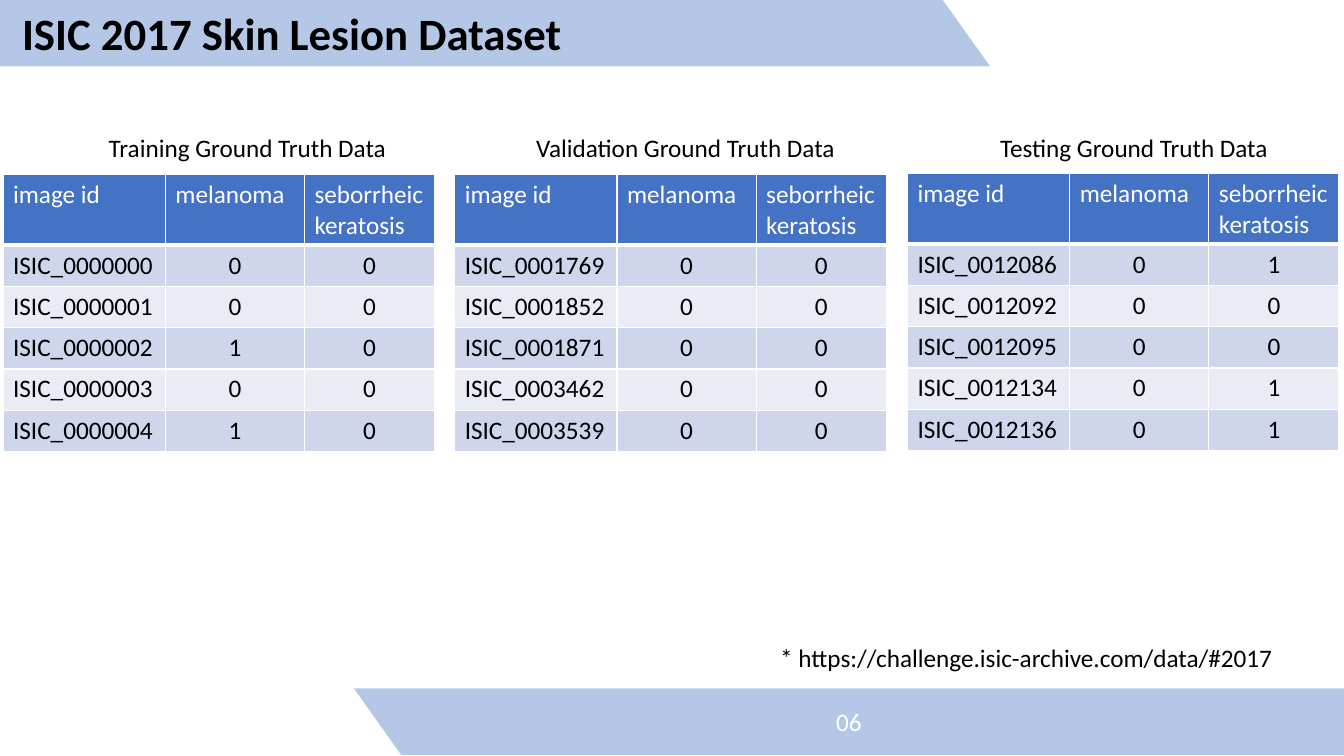
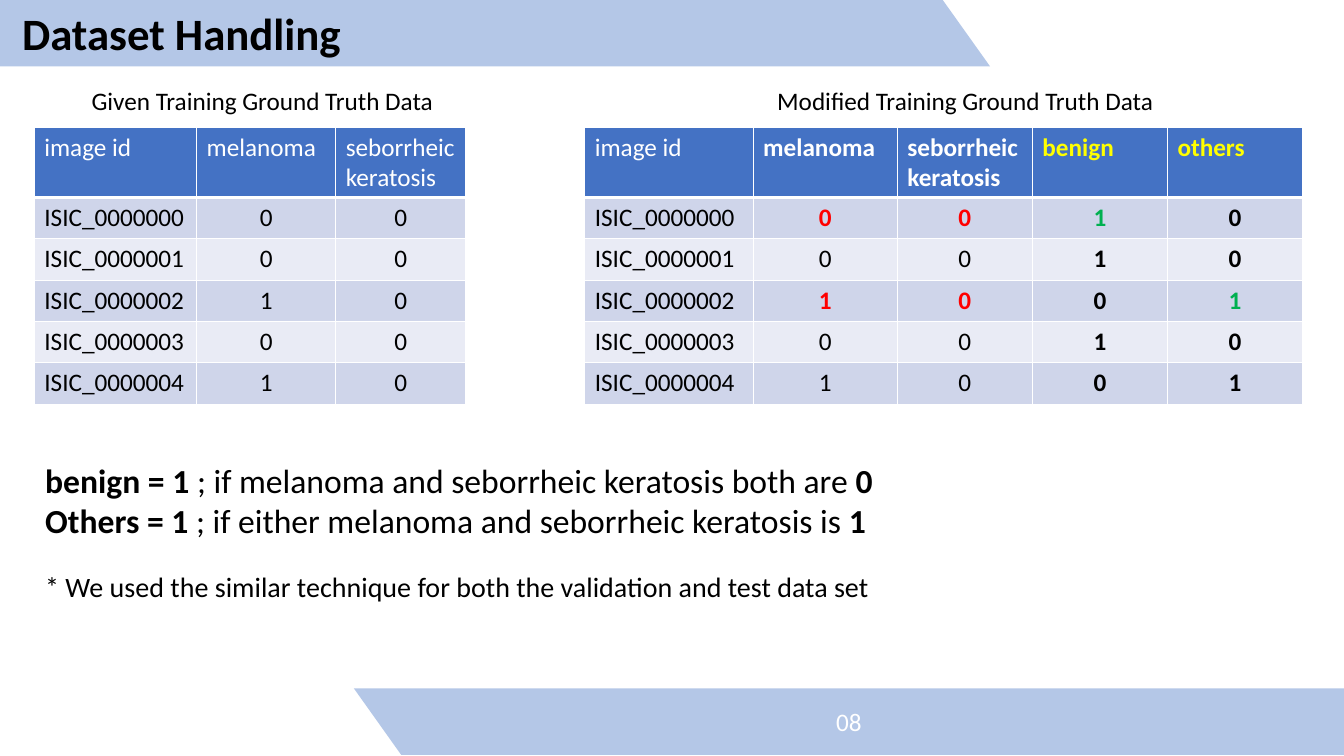
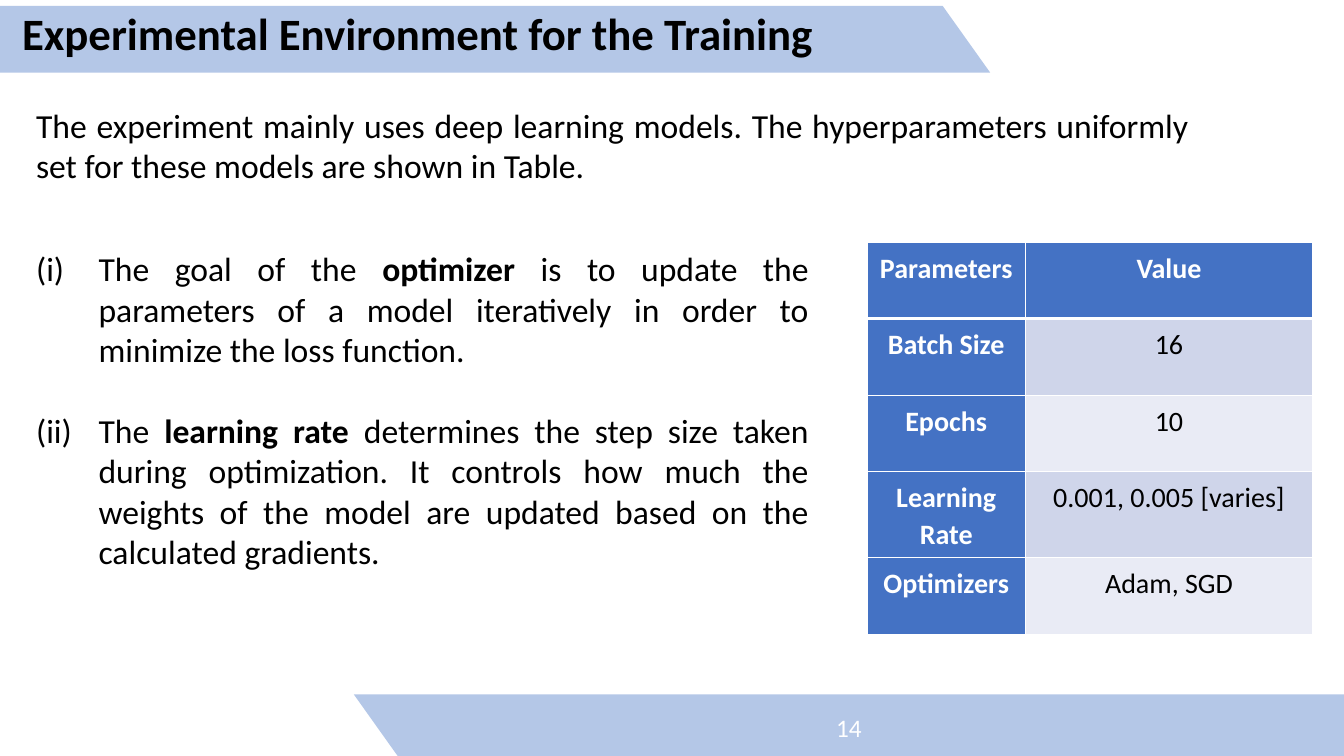
from dataclasses import dataclass
from typing import NamedTuple, Sequence

from lxml.etree import SubElement
from pptx import Presentation
from pptx.dml.color import RGBColor
from pptx.enum.text import MSO_ANCHOR, MSO_AUTO_SIZE, PP_ALIGN
from pptx.oxml.ns import qn
from pptx.util import Emu, Pt

EMU_PER_PX = 9144
PAGE_WIDTH, PAGE_HEIGHT = 1333, 750
BAND_BOTTOM = 749
BAND_OUTLINE = ((0, 0), (935, 0), (982, 66), (0, 66))


@dataclass(frozen=True)
class Theme:
    font: str = "Calibri"
    band: str = "B4C7E7"
    header: str = "4472C4"
    odd_row: str = "CFD5EA"
    even_row: str = "E9EBF5"
    white: str = "FFFFFF"
    ink: str = "000000"
    new_label: str = "FFFF00"
    source_value: str = "FF0000"
    derived_value: str = "00B050"
    title_size: int = 32
    body_size: int = 24
    note_size: int = 20
    label_size: int = 18
    thin_line: int = 1
    thick_line: int = 3


THEME = Theme()


class Box(NamedTuple):
    left: int
    top: int
    width: int
    height: int


class Span(NamedTuple):
    text: str
    bold: bool = False


@dataclass(frozen=True)
class Para:
    spans: tuple[Span, ...]
    align: PP_ALIGN = PP_ALIGN.LEFT
    numbered: bool = False
    space_before: int = 0


@dataclass(frozen=True)
class Cell:
    text: str
    color: str = THEME.ink
    bold: bool = False
    align: PP_ALIGN = PP_ALIGN.CENTER


@dataclass(frozen=True)
class TableLook:
    header_height: int
    row_height: int
    size: int
    header_column: bool = False
    margin: int | None = None
    line_spacing: float | None = None


class LabelSet(NamedTuple):
    caption: str
    caption_box: Box
    left: int
    top: int
    rows: Sequence[tuple[str, int, int]]


LABEL_LOOK = TableLook(68, 41, THEME.label_size)
PARAMETER_LOOK = TableLook(76, 76, THEME.note_size, True, 7, 1.07)
LABEL_WIDTHS = (161, 138, 129)
MODIFIED_WIDTHS = (167, 143, 134, 134, 134)
LABEL_NAMES = ("image id", "melanoma", "seborrheic keratosis")

TRAINING_ROWS = (
    ("ISIC_0000000", 0, 0),
    ("ISIC_0000001", 0, 0),
    ("ISIC_0000002", 1, 0),
    ("ISIC_0000003", 0, 0),
    ("ISIC_0000004", 1, 0),
)
VALIDATION_ROWS = (
    ("ISIC_0001769", 0, 0),
    ("ISIC_0001852", 0, 0),
    ("ISIC_0001871", 0, 0),
    ("ISIC_0003462", 0, 0),
    ("ISIC_0003539", 0, 0),
)
TESTING_ROWS = (
    ("ISIC_0012086", 0, 1),
    ("ISIC_0012092", 0, 0),
    ("ISIC_0012095", 0, 0),
    ("ISIC_0012134", 0, 1),
    ("ISIC_0012136", 0, 1),
)
HIGHLIGHTED_ROWS = (0, 2)

DATASET_SPLITS = (
    LabelSet("Training Ground Truth Data", Box(98, 126, 299, 40), 3, 173, TRAINING_ROWS),
    LabelSet("Validation Ground Truth Data", Box(522, 126, 320, 40), 451, 173, VALIDATION_ROWS),
    LabelSet("Testing Ground Truth Data", Box(982, 126, 289, 40), 900, 172, TESTING_ROWS),
)
GIVEN_TRAINING = LabelSet(
    "Given Training Ground Truth Data", Box(81, 80, 363, 40), 34, 126, TRAINING_ROWS
)
PARAMETERS = (
    ("Batch Size", "16"),
    ("Epochs", "10"),
    ("Learning Rate", "0.001, 0.005 [varies]"),
    ("Optimizers", "Adam, SGD"),
)


def px(length: int) -> Emu:
    return Emu(length * EMU_PER_PX)


def place(box: Box) -> tuple[Emu, ...]:
    return tuple(px(length) for length in box)


def style_font(font, size: int, color: str, bold: bool | None = None) -> None:
    font.name = THEME.font
    font.size = Pt(size)
    font.color.rgb = RGBColor.from_string(color)
    if bold is not None:
        font.bold = bold


def number_paragraph(paragraph) -> None:
    properties = paragraph._p.get_or_add_pPr()
    properties.set("marL", str(px(62)))
    properties.set("indent", str(px(-62)))
    SubElement(properties, qn("a:buFont"), typeface="+mj-lt")
    SubElement(properties, qn("a:buAutoNum"), type="romanLcParenBoth")


def add_text(page, box: Box, paras: Sequence[Para], size: int,
             wrap: bool = True, anchor: MSO_ANCHOR = MSO_ANCHOR.TOP) -> None:
    frame = page.shapes.add_textbox(*place(box)).text_frame
    frame.word_wrap = wrap
    frame.auto_size = MSO_AUTO_SIZE.SHAPE_TO_FIT_TEXT
    frame.vertical_anchor = anchor
    for index, para in enumerate(paras):
        paragraph = frame.add_paragraph() if index else frame.paragraphs[0]
        if para.numbered:
            number_paragraph(paragraph)
        paragraph.alignment = para.align
        if para.space_before:
            paragraph.space_before = Pt(para.space_before)
        same_weight = len({span.bold for span in para.spans}) == 1
        style_font(paragraph.font, size, THEME.ink,
                   para.spans[0].bold if same_weight else None)
        for span in para.spans:
            run = paragraph.add_run()
            run.text = span.text
            if not same_weight:
                run.font.bold = span.bold


def add_line(page, box: Box, text: str, size: int,
             bold: bool = False, wrap: bool = False) -> None:
    add_text(page, box, [Para((Span(text, bold),))], size, wrap)


def add_band(page, points: Sequence[tuple[int, int]]):
    builder = page.shapes.build_freeform(*points[0], scale=EMU_PER_PX)
    builder.add_line_segments(points[1:], close=True)
    band = builder.convert_to_shape()
    band.shadow.inherit = False
    band.fill.solid()
    band.fill.fore_color.rgb = RGBColor.from_string(THEME.band)
    band.line.fill.background()
    return band


def add_page(deck, title: str, number: str, band_shift: int = 0):
    page = deck.slides.add_slide(deck.slide_layouts[6])
    add_band(page, [(x, y + band_shift) for x, y in BAND_OUTLINE])
    footer = add_band(
        page, [(PAGE_WIDTH - x, BAND_BOTTOM - y + band_shift) for x, y in BAND_OUTLINE]
    )
    footer.text_frame.vertical_anchor = MSO_ANCHOR.MIDDLE
    paragraph = footer.text_frame.paragraphs[0]
    paragraph.text = number
    paragraph.alignment = PP_ALIGN.CENTER
    style_font(paragraph.font, THEME.label_size, THEME.white)
    add_line(page, Box(12, 1, 982, 64), title, THEME.title_size, bold=True, wrap=True)
    return page


def set_borders(table_cell, row: int) -> None:
    properties = table_cell._tc.get_or_add_tcPr()
    thick_sides = {0: "lnB", 1: "lnT"}
    for side in ("lnL", "lnR", "lnT", "lnB"):
        width = THEME.thick_line if thick_sides.get(row) == side else THEME.thin_line
        line = SubElement(properties, qn(f"a:{side}"), w=str(Pt(width)))
        fill = SubElement(line, qn("a:solidFill"))
        SubElement(fill, qn("a:srgbClr"), val=THEME.white)


def fill_cell(table_cell, cell: Cell, row: int, column: int, look: TableLook) -> None:
    set_borders(table_cell, row)
    is_header = row == 0 or (look.header_column and column == 0)
    row_color = THEME.odd_row if row % 2 else THEME.even_row
    table_cell.fill.solid()
    table_cell.fill.fore_color.rgb = RGBColor.from_string(
        THEME.header if is_header else row_color
    )
    if look.margin is not None:
        table_cell.margin_left = table_cell.margin_right = px(look.margin)
        table_cell.margin_top = table_cell.margin_bottom = px(look.margin)
    paragraph = table_cell.text_frame.paragraphs[0]
    paragraph.text = cell.text
    paragraph.alignment = cell.align
    if look.line_spacing is not None:
        paragraph.line_spacing = look.line_spacing
    style_font(paragraph.font, look.size, cell.color, cell.bold)


def add_grid(page, left: int, top: int, widths: Sequence[int],
             rows: Sequence[Sequence[Cell]], look: TableLook) -> None:
    height = look.header_height + look.row_height * (len(rows) - 1)
    box = Box(left, top, sum(widths), height)
    table = page.shapes.add_table(len(rows), len(widths), *place(box)).table
    table.first_col = look.header_column
    for column, width in enumerate(widths):
        table.columns[column].width = px(width)
    for row, cells in enumerate(rows):
        table.rows[row].height = px(look.row_height if row else look.header_height)
        for column, cell in enumerate(cells):
            fill_cell(table.cell(row, column), cell, row, column, look)


def label_header(text: str, color: str = THEME.white, bold: bool = False) -> Cell:
    return Cell(text, color, bold, PP_ALIGN.LEFT)


def add_label_set(page, labels: LabelSet) -> None:
    add_line(page, labels.caption_box, labels.caption, THEME.label_size)
    rows = [[label_header(name) for name in LABEL_NAMES]]
    for image_id, *values in labels.rows:
        rows.append([Cell(image_id, align=PP_ALIGN.LEFT)]
                    + [Cell(str(value)) for value in values])
    add_grid(page, labels.left, labels.top, LABEL_WIDTHS, rows, LABEL_LOOK)


def modified_rows() -> list[list[Cell]]:
    image_name, *disease_names = LABEL_NAMES
    rows = [
        [label_header(image_name)]
        + [label_header(name, bold=True) for name in disease_names]
        + [label_header(name, THEME.new_label, True) for name in ("benign", "others")]
    ]
    for index, (image_id, *diseases) in enumerate(TRAINING_ROWS):
        marked = index in HIGHLIGHTED_ROWS
        benign = int(not any(diseases))
        given_color = THEME.source_value if marked else THEME.ink
        rows.append(
            [Cell(image_id, align=PP_ALIGN.LEFT)]
            + [Cell(str(value), given_color, marked) for value in diseases]
            + [
                Cell(str(value), THEME.derived_value if marked and value else THEME.ink, True)
                for value in (benign, 1 - benign)
            ]
        )
    return rows


def build_dataset_page(deck) -> None:
    page = add_page(deck, "ISIC 2017 Skin Lesion Dataset", "06")
    for labels in DATASET_SPLITS:
        add_label_set(page, labels)
    add_line(page, Box(764, 632, 514, 40),
             "* https://challenge.isic-archive.com/data/#2017", THEME.label_size)


def build_handling_page(deck) -> None:
    page = add_page(deck, "Dataset Handling", "08")
    add_label_set(page, GIVEN_TRAINING)
    add_line(page, Box(761, 80, 398, 40),
             "Modified Training Ground Truth Data", THEME.label_size)
    add_grid(page, 580, 126, MODIFIED_WIDTHS, modified_rows(), LABEL_LOOK)
    rules = [
        Para((
            Span("benign = 1 ", True),
            Span("; if melanoma and seborrheic keratosis both are "),
            Span("0", True),
        )),
        Para((
            Span("Others = 1 ", True),
            Span("; if either melanoma and seborrheic keratosis is "),
            Span("1", True),
        )),
    ]
    add_text(page, Box(35, 451, 1092, 91), rules, THEME.body_size)
    add_line(page, Box(35, 560, 959, 44),
             "* We used the similar technique for both the validation and test data set",
             THEME.note_size, wrap=True)


def build_environment_page(deck) -> None:
    page = add_page(deck, "Experimental Environment for the Training", "14", band_shift=6)
    introduction = Para(
        (Span("The experiment mainly uses deep learning models. The hyperparameters "
              "uniformly set for these models are shown in Table."),),
        PP_ALIGN.JUSTIFY,
    )
    add_text(page, Box(26, 99, 1163, 91), [introduction], THEME.body_size)
    rows = [[Cell(name, THEME.white, True) for name in ("Parameters", "Value")]]
    rows += [[Cell(name, THEME.white, True), Cell(value)] for name, value in PARAMETERS]
    add_grid(page, 860, 240, (157, 285), rows, PARAMETER_LOOK)
    definitions = [
        Para((
            Span("The goal of the "),
            Span("optimizer", True),
            Span(" is to update the parameters of a model iteratively in order to "
                 "minimize the loss function."),
        ), PP_ALIGN.JUSTIFY, numbered=True),
        Para((
            Span("The "),
            Span("learning rate ", True),
            Span("determines the step size taken during optimization. It controls how "
                 "much the weights of the model are updated based on the calculated "
                 "gradients."),
        ), PP_ALIGN.JUSTIFY, numbered=True, space_before=29),
    ]
    add_text(page, Box(26, 240, 786, 333), definitions, THEME.body_size,
             anchor=MSO_ANCHOR.MIDDLE)


def main() -> None:
    deck = Presentation()
    deck.slide_width = px(PAGE_WIDTH)
    deck.slide_height = px(PAGE_HEIGHT)
    build_dataset_page(deck)
    build_handling_page(deck)
    build_environment_page(deck)
    deck.save("out.pptx")


if __name__ == "__main__":
    main()
